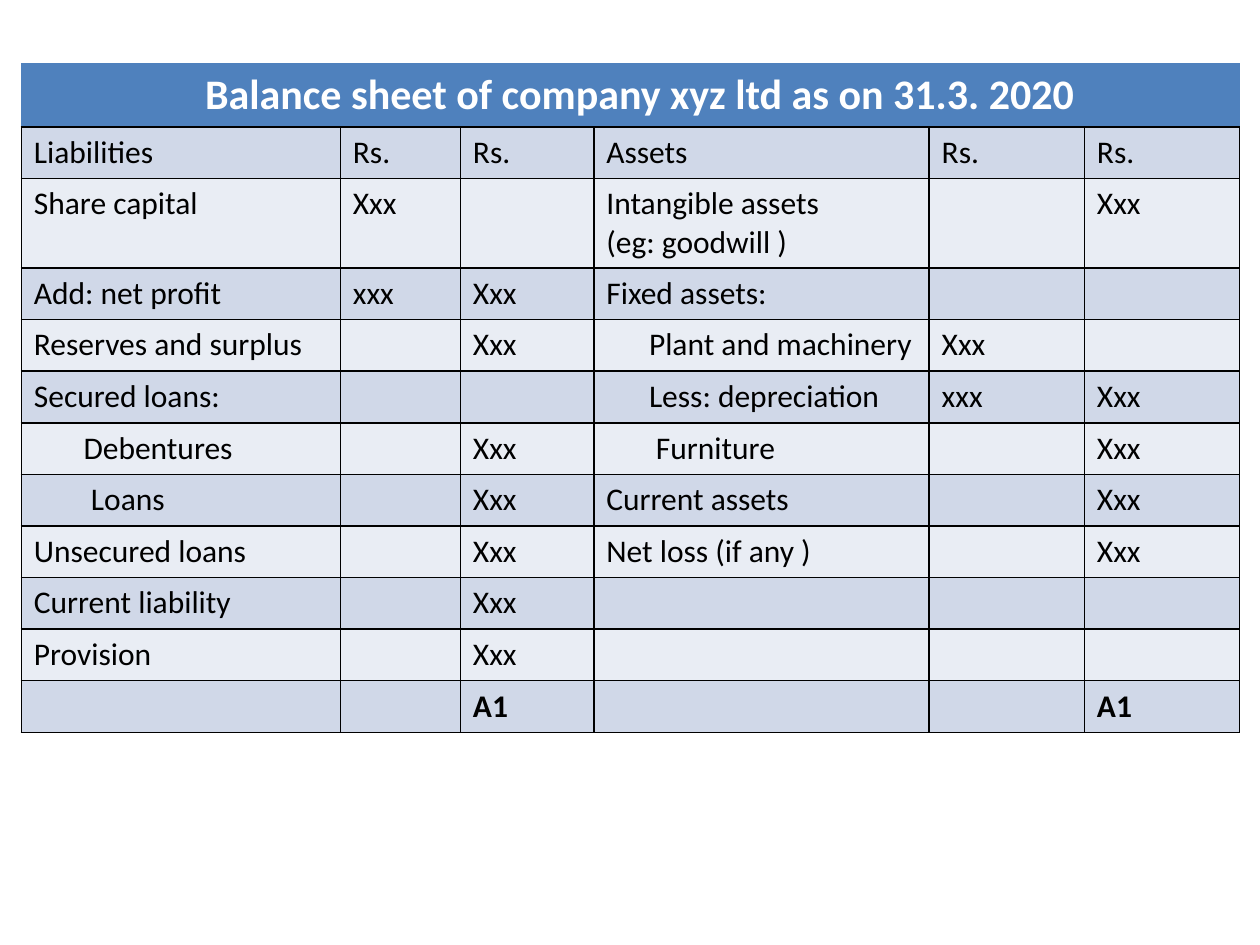
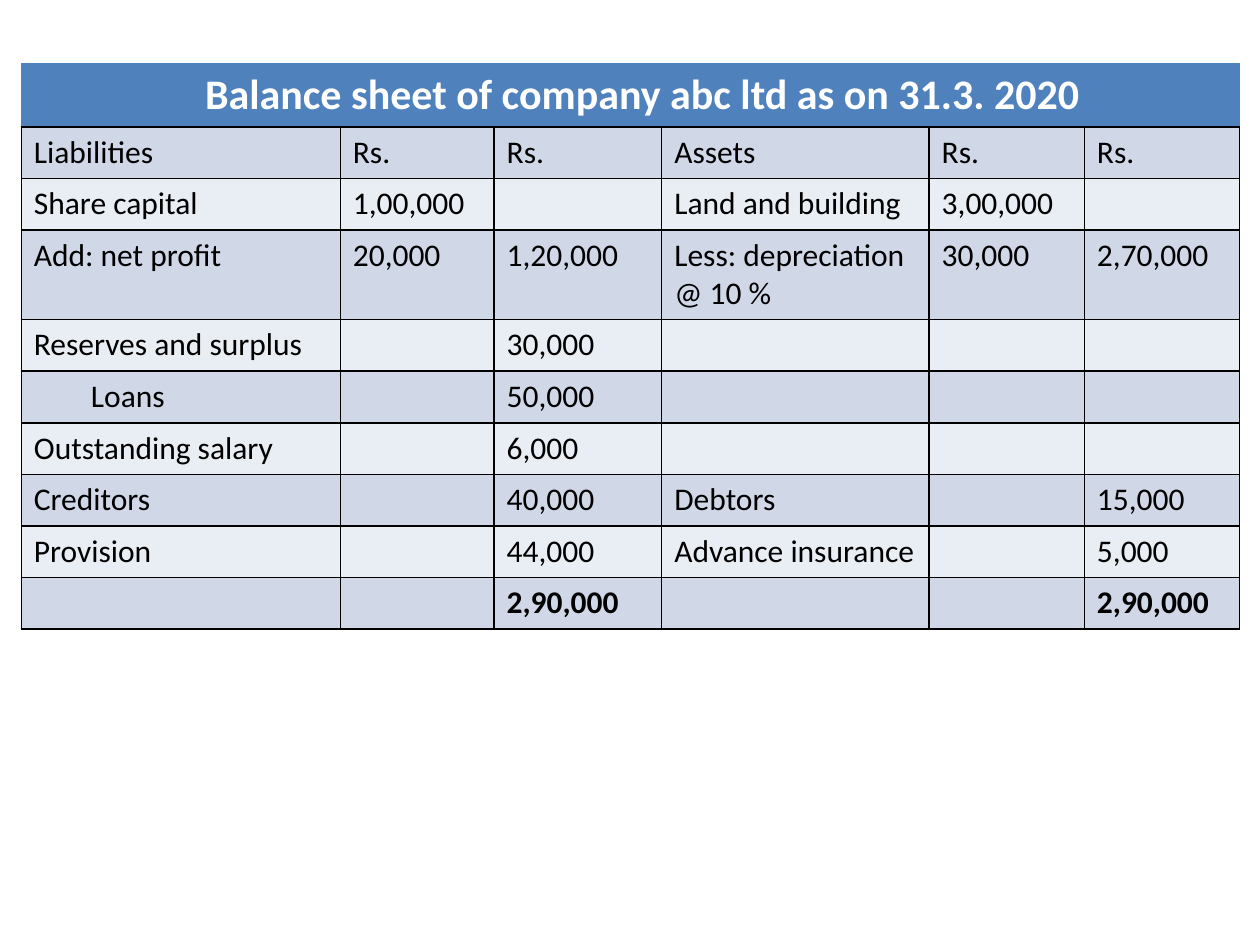
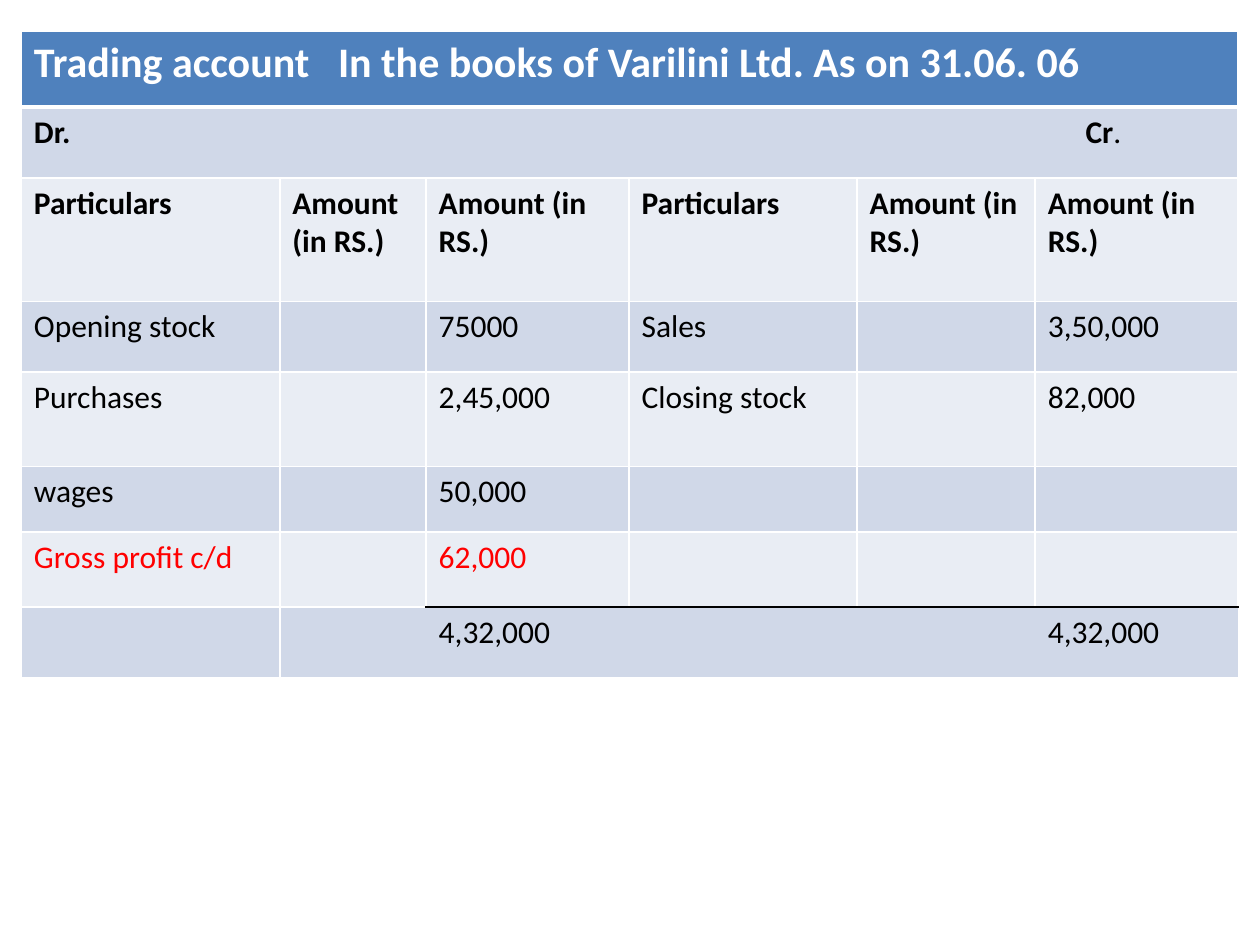
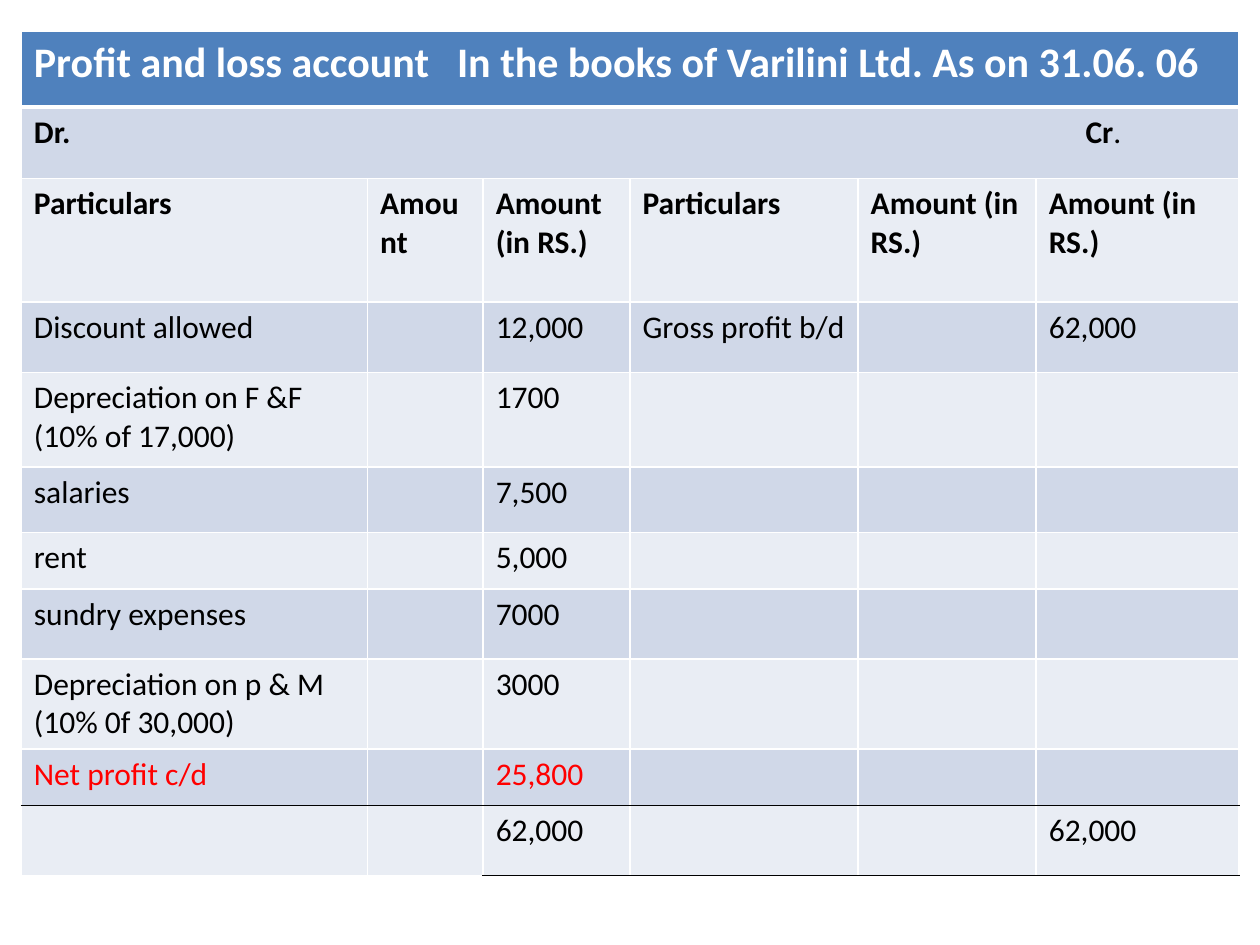
from lxml import etree
from pptx import Presentation
from pptx.dml.color import RGBColor
from pptx.oxml.ns import qn
from pptx.util import Cm, Pt

FONT = "Calibri"
COLORS = {"header": "4F81BD", "dark band": "D0D8E8", "light band": "E9EDF4",
          "white": "FFFFFF", "black": "000000", "red": "FF0000"}
LEFT = 0.43
COLUMN_COUNT = 6
TITLE_INDENT = 3.45
CREDIT_TAB = 21.2
INDENTS = {"Plant and machinery": 0.86, "Less: depreciation": 0.86,
           "Debentures": 1.0, "Furniture": 1.0, "Loans": 1.15}

SHEET_HEADINGS = ("Liabilities", "Rs.", "Rs.", "Assets", "Rs.", "Rs.")
ACCOUNT_HEADINGS = ("Particulars", "Amount (in RS.)", "Amount (in RS.)",
                    "Particulars", "Amount (in RS.)", "Amount (in RS.)")

BALANCE_SHEETS = [
    {"title": "Balance sheet of company xyz ltd as on 31.3. 2020",
     "widths": (6.43, 2.42, 2.69, 6.76, 3.13, 3.13),
     "rows": [
         SHEET_HEADINGS,
         ("Share capital", "Xxx", "", "Intangible assets\n(eg: goodwill )", "", "Xxx"),
         ("Add: net profit", "xxx", "Xxx", "Fixed assets:", "", ""),
         ("Reserves and surplus", "", "Xxx", "Plant and machinery", "Xxx", ""),
         ("Secured loans:", "", "", "Less: depreciation", "xxx", "Xxx"),
         ("Debentures", "", "Xxx", "Furniture", "", "Xxx"),
         ("Loans", "", "Xxx", "Current assets", "", "Xxx"),
         ("Unsecured loans", "", "Xxx", "Net loss (if any )", "", "Xxx"),
         ("Current liability", "", "Xxx", "", "", ""),
         ("Provision", "", "Xxx", "", "", ""),
         ("", "", "A1", "", "", "A1")]},
    {"title": "Balance sheet of company abc ltd as on 31.3. 2020",
     "widths": (6.43, 3.1, 3.38, 5.39, 3.13, 3.13),
     "rows": [
         SHEET_HEADINGS,
         ("Share capital", "1,00,000", "", "Land and building", "3,00,000", ""),
         ("Add: net profit", "20,000", "1,20,000", "Less: depreciation @ 10 %",
          "30,000", "2,70,000"),
         ("Reserves and surplus", "", "30,000", "", "", ""),
         ("Loans", "", "50,000", "", "", ""),
         ("Outstanding salary", "", "6,000", "", "", ""),
         ("Creditors", "", "40,000", "Debtors", "", "15,000"),
         ("Provision", "", "44,000", "Advance insurance", "", "5,000"),
         ("", "", "2,90,000", "", "", "2,90,000")]},
]

ACCOUNTS = [
    {"title": "Trading account\tIn the books of Varilini Ltd. As on 31.06. 06",
     "tab": 6.13,
     "widths": (5.21, 2.95, 4.09, 4.6, 3.59, 4.09),
     "heights": (1.52, 1.43, 2.49, 1.42, 1.9, 1.32, 1.52, 1.42),
     "rules": {1: ("white", 3, 0), 7: ("black", 1, 2)},
     "open_total": True,
     "profit_row": 6,
     "rows": [
         ACCOUNT_HEADINGS,
         ("Opening stock", "", "75000", "Sales", "", "3,50,000"),
         ("Purchases", "", "2,45,000", "Closing stock", "", "82,000"),
         ("wages", "", "50,000", "", "", ""),
         ("Gross profit c/d", "", "62,000", "", "", ""),
         ("", "", "4,32,000", "", "", "4,32,000")]},
    {"title": "Profit and loss account\tIn the books of Varilini Ltd. As on 31.06. 06",
     "tab": 8.53,
     "widths": (6.98, 2.33, 2.96, 4.6, 3.59, 4.09),
     "heights": (1.52, 1.44, 2.49, 1.42, 1.9, 1.32, 1.14, 1.42, 1.42, 1.14, 1.42),
     "rules": {1: ("white", 3, 0), 10: ("black", 1, 0), 11: ("black", 1, 2)},
     "open_total": False,
     "profit_row": 9,
     "rows": [
         (ACCOUNT_HEADINGS[0], "Amount") + ACCOUNT_HEADINGS[2:],
         ("Discount allowed", "", "12,000", "Gross profit b/d", "", "62,000"),
         ("Depreciation on F &F (10% of 17,000)", "", "1700", "", "", ""),
         ("salaries", "", "7,500", "", "", ""),
         ("rent", "", "5,000", "", "", ""),
         ("sundry expenses", "", "7000", "", "", ""),
         ("Depreciation on p & M (10% 0f 30,000)", "", "3000", "", "", ""),
         ("Net profit c/d", "", "25,800", "", "", ""),
         ("", "", "62,000", "", "", "62,000")]},
]


def rgb(name):
    return RGBColor.from_string(COLORS[name])


def set_borders(cell, edges):
    properties = cell._tc.get_or_add_tcPr()
    for position, side in enumerate("LRTB"):
        edge = edges[side]
        line = etree.Element(qn("a:ln" + side))
        if edge:
            color, width = edge
            line.set("w", str(Pt(width)))
            fill = etree.SubElement(line, qn("a:solidFill"))
            etree.SubElement(fill, qn("a:srgbClr"), val=COLORS[color])
        else:
            etree.SubElement(line, qn("a:noFill"))
        properties.insert(position, line)


def set_indent(para, distance):
    properties = para._p.get_or_add_pPr()
    properties.set("marL", str(Cm(distance)))
    properties.set("indent", "0")


def set_tab(para, distance):
    stops = etree.SubElement(para._p.get_or_add_pPr(), qn("a:tabLst"))
    etree.SubElement(stops, qn("a:tab"), pos=str(Cm(distance)), algn="l")


def format_runs(para, size, color, bold):
    for run in para.runs:
        run.font.name = FONT
        run.font.size = Pt(size)
        run.font.bold = bold
        run.font.color.rgb = rgb(color)


def write_cell(cell, text, size=18, color="black", bold=False):
    cell.text_frame.text = text
    for para in cell.text_frame.paragraphs:
        format_runs(para, size, color, bold)
        if text in INDENTS:
            set_indent(para, INDENTS[text])


def add_ledger(deck, top, title, widths, heights):
    page = deck.slides.add_slide(deck.slide_layouts[6])
    frame = page.shapes.add_table(len(heights), COLUMN_COUNT, Cm(LEFT), Cm(top),
                                  Cm(sum(widths)), Cm(sum(heights)))
    table = frame.table
    for column, width in zip(table.columns, widths):
        column.width = Cm(width)
    for row, height in zip(table.rows, heights):
        row.height = Cm(height)
    for row_index in range(len(heights)):
        band = "header" if row_index == 0 else ("light band", "dark band")[row_index % 2]
        for column_index in range(COLUMN_COUNT):
            cell = table.cell(row_index, column_index)
            cell.fill.solid()
            cell.fill.fore_color.rgb = rgb(band)
    span_row(table, 0)
    write_cell(table.cell(0, 0), title, 24, "white", True)
    return table


def span_row(table, row_index):
    table.cell(row_index, 0).merge(table.cell(row_index, COLUMN_COUNT - 1))


def add_balance_sheet(deck, sheet):
    rows = sheet["rows"]
    table = add_ledger(deck, 1.27, sheet["title"], sheet["widths"],
                       [1.04] * (len(rows) + 1))
    set_indent(table.cell(0, 0).text_frame.paragraphs[0], TITLE_INDENT)
    thin = ("black", 1)
    for column_index in range(COLUMN_COUNT):
        set_borders(table.cell(0, column_index),
                    {"L": None, "R": None, "T": None, "B": thin})
    for row_index, texts in enumerate(rows, 1):
        for column_index, text in enumerate(texts):
            cell = table.cell(row_index, column_index)
            set_borders(cell, dict.fromkeys("LRTB", thin))
            write_cell(cell, text, bold=row_index == len(rows))


def add_account(deck, account):
    heights = account["heights"]
    rules = account["rules"]
    table = add_ledger(deck, 0.64, account["title"], account["widths"], heights)
    set_tab(table.cell(0, 0).text_frame.paragraphs[0], account["tab"])
    span_row(table, 1)
    sides = table.cell(1, 0)
    write_cell(sides, "Dr.\tCr", bold=True)
    para = sides.text_frame.paragraphs[0]
    set_tab(para, CREDIT_TAB)
    para.add_run().text = "."
    format_runs(para, 18, "black", True)
    para.runs[-1].font.bold = False

    def rule_at(boundary, column_index):
        color, width, first = rules.get(boundary, ("white", 1, 0))
        return (color, width) if column_index >= first else ("white", 1)

    for row_index in range(len(heights)):
        for column_index in range(COLUMN_COUNT):
            is_open = (account["open_total"] and row_index == len(heights) - 1
                       and column_index >= 2)
            side = None if is_open else ("white", 1)
            set_borders(table.cell(row_index, column_index),
                        {"L": side, "R": side,
                         "T": rule_at(row_index, column_index),
                         "B": rule_at(row_index + 1, column_index)})
    for row_index, texts in enumerate(account["rows"], 2):
        color = "red" if row_index == account["profit_row"] else "black"
        for column_index, text in enumerate(texts):
            write_cell(table.cell(row_index, column_index), text,
                       color=color, bold=row_index == 2)


deck = Presentation()
deck.slide_width = Cm(25.4)
deck.slide_height = Cm(19.05)
for sheet in BALANCE_SHEETS:
    add_balance_sheet(deck, sheet)
for account in ACCOUNTS:
    add_account(deck, account)
deck.save("out.pptx")
